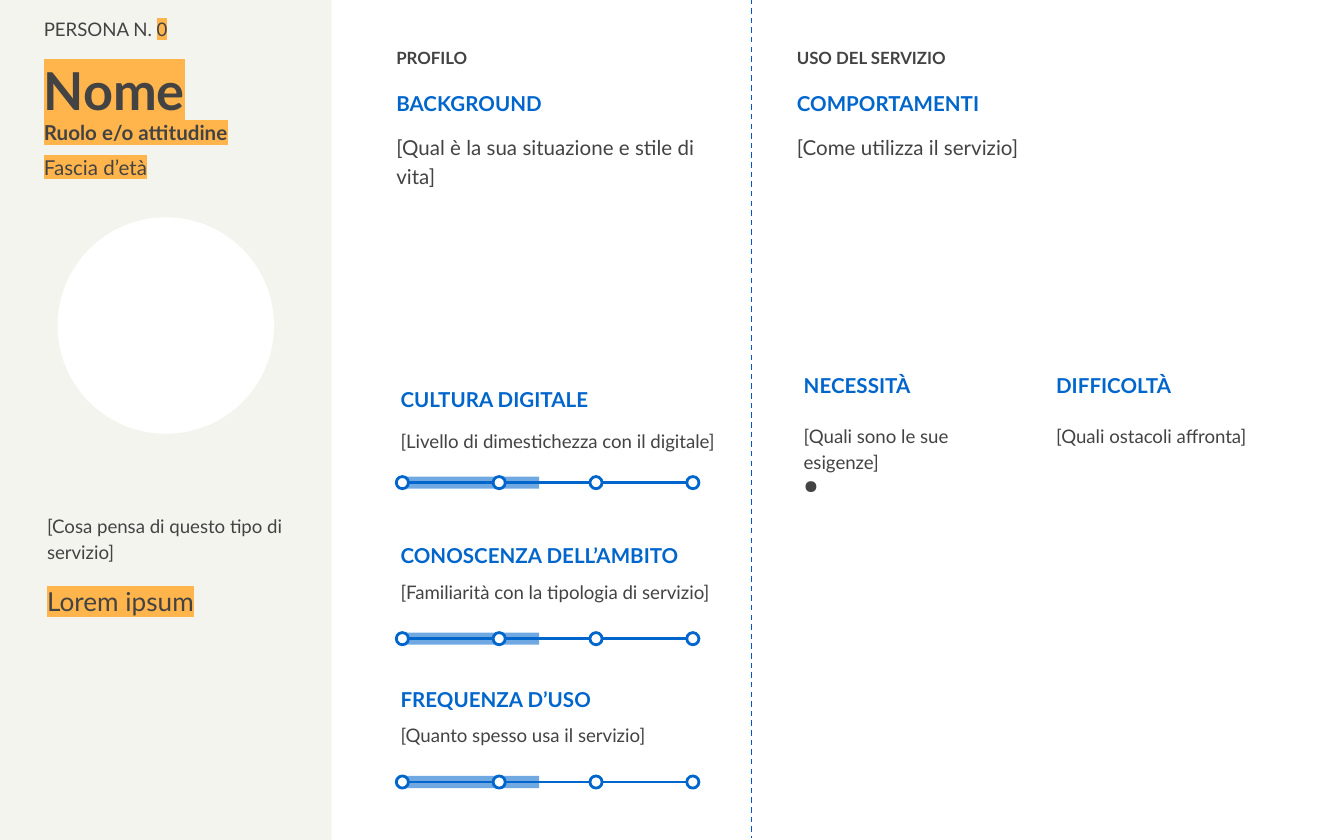
"""Build a persona card: identity sidebar, profile with three scales, service use."""
from lxml import etree
from pptx import Presentation
from pptx.dml.color import RGBColor
from pptx.enum import dml, shapes, text
from pptx.oxml.ns import qn
from pptx.util import Cm, Pt

INK, BLUE, DIVIDER, AMBER = "434343", "0066CC", "0056CB", "FFB54C"
SAND, WHITE = "F4F4EF", "FFFFFF"
MIDDLE = text.MSO_ANCHOR.MIDDLE

TITLE = dict(size=11, bold=True, color=BLUE, anchor=MIDDLE)
SECTION = dict(size=9, bold=True, anchor=MIDDLE)
BODY = dict(size=10, spacing=1.15)
LARGE_BODY = dict(size=11, spacing=1.15)

IDENTITY = [
    ((0.58, 0.03, 5.69, 0.74), [("PERSONA N. ", None), ("0", AMBER)], BODY),
    ((0.58, 1.17, 5.31, 1.04), [("Nome", AMBER)], dict(size=28, bold=True, anchor=MIDDLE)),
    ((0.58, 2.03, 5.56, 0.86), [("Ruolo e/o attitudine", AMBER)], dict(size=11, bold=True)),
    ((0.58, 2.69, 5.56, 0.86), [("Fascia d’età", AMBER)], dict(size=11)),
]
OPINION = "[Cosa pensa di questo tipo di servizio]"
QUOTE = "Lorem ipsum"
COLUMNS = [
    (7.24, 6.53, "PROFILO", "BACKGROUND", "[Qual è la sua situazione e stile di vita]"),
    (14.81, 9.42, "USO DEL SERVIZIO", "COMPORTAMENTI", "[Come utilizza il servizio]"),
]
NEEDS = [
    (14.94, 6.76, "NECESSITÀ", "[Quali sono le sue esigenze]", True),
    (19.71, 6.2, "DIFFICOLTÀ", "[Quali ostacoli affronta]", False),
]
SCALES = [
    (7.16, "CULTURA DIGITALE", "[Livello di dimestichezza con il digitale]", 1.15),
    (10.11, "CONOSCENZA DELL’AMBITO", "[Familiarità con la tipologia di servizio]", None),
    (12.82, "FREQUENZA D’USO", "[Quanto spesso usa il servizio]", None),
]
DOT, DOT_START, DOT_STEP, DOT_COUNT = 0.23, 7.49, 1.83, 4


def rgb(value):
    return RGBColor.from_string(value)


def add_paragraph(frame, runs, size, bold=False, color=INK, spacing=None, before=None):
    paragraph = frame.paragraphs[0]
    if paragraph.runs:
        paragraph = frame.add_paragraph()
    if spacing:
        paragraph.line_spacing = spacing
    if before:
        paragraph.space_before = Pt(before)
    for words, highlight in runs:
        run = paragraph.add_run()
        run.text = words
        font = run.font
        font.size, font.bold, font.name = Pt(size), bold, "Lato"
        font.color.rgb = rgb(color)
        if highlight:
            mark = etree.Element(qn("a:highlight"))
            etree.SubElement(mark, qn("a:srgbClr"), val=highlight)
            font._element.find(qn("a:latin")).addprevious(mark)
    return paragraph


def add_text(slide, box, runs, anchor=text.MSO_ANCHOR.TOP, **style):
    frame = slide.shapes.add_textbox(*map(Cm, box)).text_frame
    frame.word_wrap = True
    frame.vertical_anchor = anchor
    frame.margin_left = frame.margin_right = Cm(0.25)
    frame.margin_top = frame.margin_bottom = Cm(0.25)
    add_paragraph(frame, [(runs, None)] if isinstance(runs, str) else runs, **style)
    return frame


def add_bullet(paragraph):
    paragraph.space_after = Pt(10)
    properties = paragraph._p.get_or_add_pPr()
    properties.set("marL", str(Cm(0.28)))
    properties.set("indent", str(Cm(-0.3)))
    colour = etree.SubElement(properties, qn("a:buClr"))
    etree.SubElement(colour, qn("a:srgbClr"), val=INK)
    etree.SubElement(properties, qn("a:buChar"), char="●")


def add_block(slide, preset, box, fill, outline=None, alpha=None):
    block = slide.shapes.add_shape(preset, *map(Cm, box))
    block.shadow.inherit = False
    block.fill.solid()
    block.fill.fore_color.rgb = rgb(fill)
    if alpha:
        colour = block.fill._xPr.find(qn("a:solidFill"))[0]
        etree.SubElement(colour, qn("a:alpha"), val=str(alpha * 1000))
    if outline:
        block.line.color.rgb = rgb(outline)
        block.line.width = Pt(1.5)
    else:
        block.line.fill.background()


def add_line(slide, ends, color, width, dash=None):
    line = slide.shapes.add_connector(shapes.MSO_CONNECTOR.STRAIGHT, *map(Cm, ends))
    line.line.color.rgb = rgb(color)
    line.line.width = Pt(width)
    if dash:
        line.line.dash_style = dash
    etree.SubElement(line._element.spPr, qn("a:effectLst"))


def add_scale(slide, top, title, body, spacing):
    add_text(slide, (7.32, top, 6.3, 0.79), title, **TITLE)
    add_text(slide, (7.32, top + 0.66, 7.04, 0.86), body, size=10, spacing=spacing)
    track = top + 1.85
    middle = track + DOT / 2
    end = DOT_START + (DOT_COUNT - 1) * DOT_STEP + DOT
    add_line(slide, (DOT_START + DOT, middle, end, middle), BLUE, 1.5)
    add_block(slide, shapes.MSO_SHAPE.RECTANGLE, (7.62, track, 2.57, DOT), BLUE, alpha=56)
    for step in range(DOT_COUNT):
        dot = (DOT_START + step * DOT_STEP, track, DOT, DOT)
        add_block(slide, shapes.MSO_SHAPE.OVAL, dot, WHITE, outline=BLUE)


def main():
    deck = Presentation()
    deck.slide_width, deck.slide_height = Cm(25.4), Cm(15.88)
    slide = deck.slides.add_slide(deck.slide_layouts[6])

    add_block(slide, shapes.MSO_SHAPE.RECTANGLE, (-0.03, -0.08, 6.3, 15.98), SAND)
    add_block(slide, shapes.MSO_SHAPE.OVAL, (1.09, 4.11, 4.09, 4.09), WHITE)
    for box, runs, style in IDENTITY:
        add_text(slide, box, runs, **style)
    opinion = add_text(slide, (0.64, 9.42, 5.31, 3.86), OPINION, **BODY)
    add_paragraph(opinion, [(QUOTE, AMBER)], size=14, before=12)

    for left, width, section, title, body in COLUMNS:
        add_text(slide, (left, 0.69, 3.91, 0.79), section, **SECTION)
        add_text(slide, (left, 1.52, 6.81, 0.86), title, **TITLE)
        add_text(slide, (left, 2.24, width, 0.86), body, **LARGE_BODY)
    for left, height, title, body, bulleted in NEEDS:
        add_text(slide, (left, 6.86, 4.39, 0.86), title, **TITLE)
        frame = add_text(slide, (left, 7.72, 4.65, height), body, **BODY)
        if bulleted:
            add_bullet(add_paragraph(frame, [(" ", None)], bold=True, **BODY))
    for scale in SCALES:
        add_scale(slide, *scale)
    add_line(slide, (14.2, -0.03, 14.2, 15.85), DIVIDER, 0.75, dml.MSO_LINE.DASH)
    deck.save("out.pptx")


if __name__ == "__main__":
    main()
